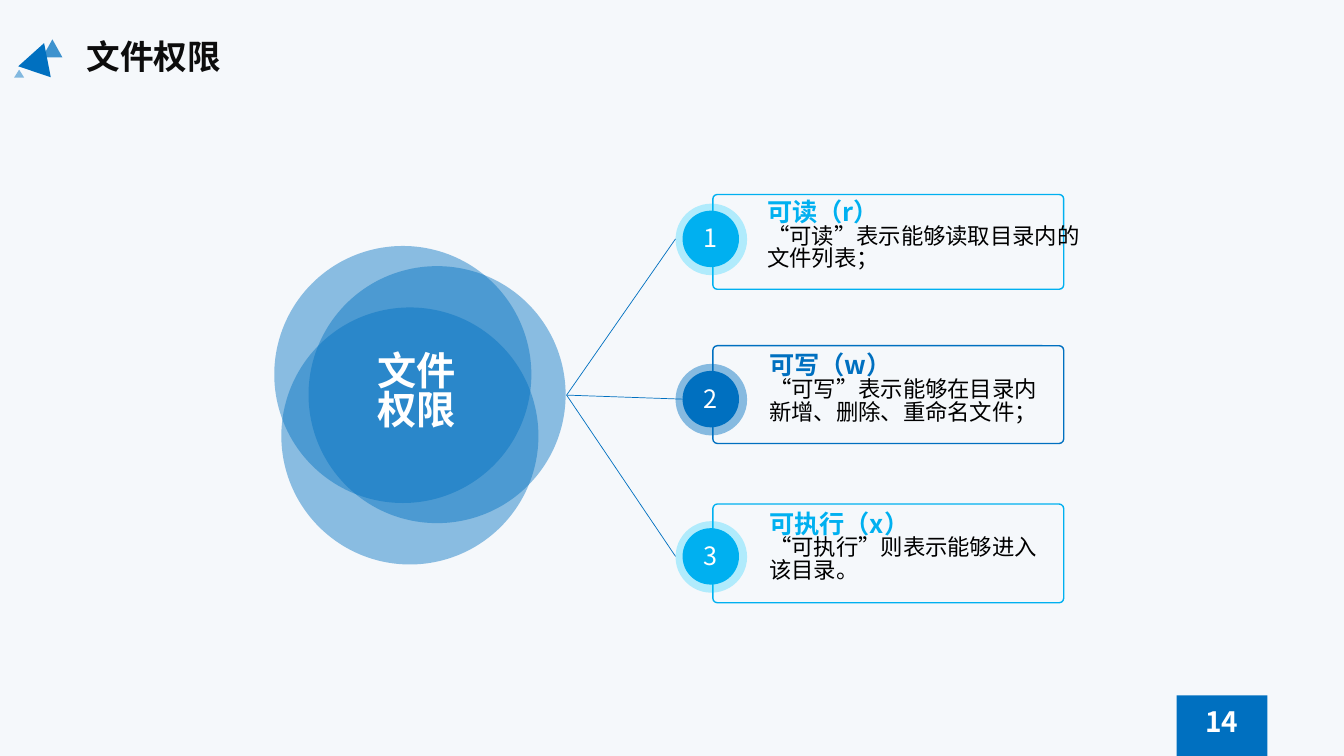
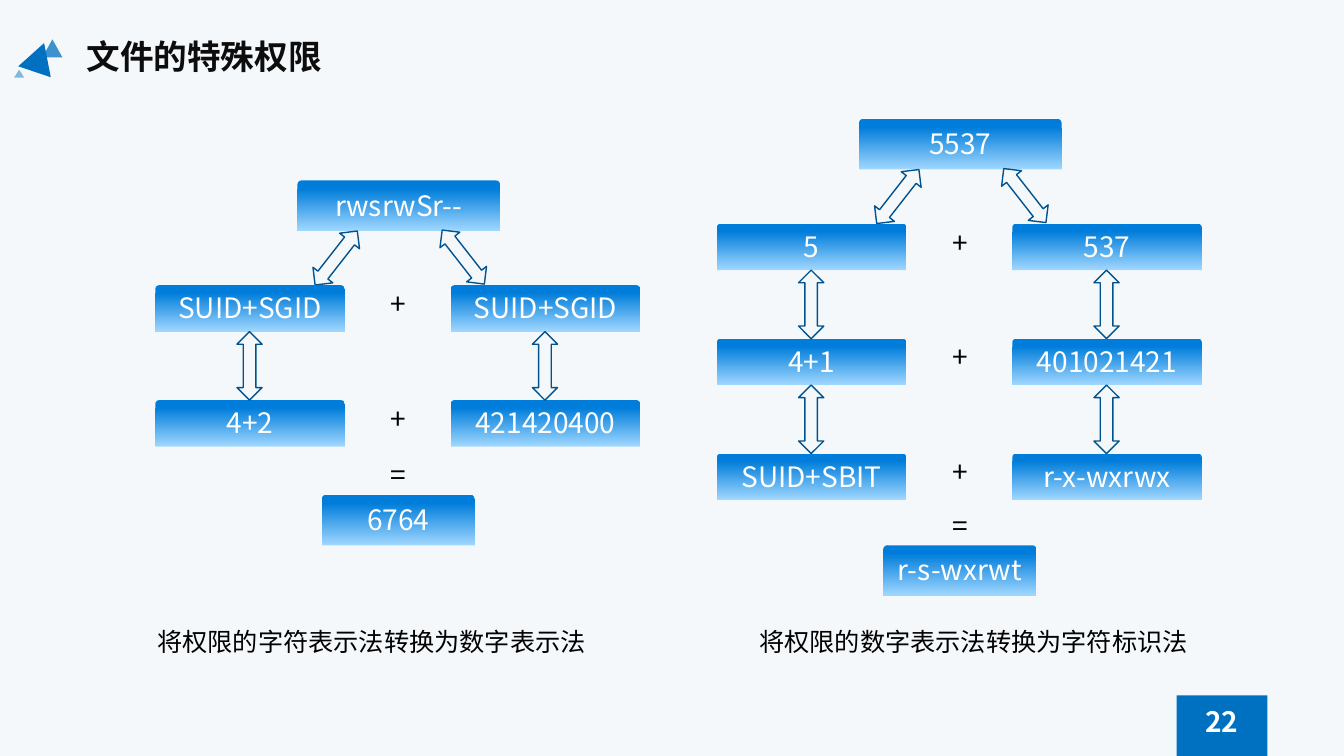
from dataclasses import dataclass

from lxml.etree import SubElement
from pptx import Presentation
from pptx.dml.color import RGBColor
from pptx.enum.shapes import MSO_CONNECTOR, MSO_SHAPE
from pptx.enum.text import MSO_ANCHOR, PP_ALIGN
from pptx.oxml.ns import qn
from pptx.util import Inches, Pt

FONT = "Noto Sans CJK SC"
LINE_SPACING = 0.83
BACKGROUND = RGBColor(0xF5, 0xF8, 0xFB)
BLUE = RGBColor(0x00, 0x70, 0xC0)
CYAN = RGBColor(0x00, 0xB0, 0xF0)
CYAN_HALO = RGBColor(0x09, 0xCE, 0xFF)
ARROW_BLUE = RGBColor(0x00, 0x53, 0x8E)
GRADIENT_TOP = RGBColor(0x00, 0x7D, 0xDA)
GRADIENT_BOTTOM = RGBColor(0xA0, 0xD7, 0xFF)
INK = RGBColor(0x0D, 0x0D, 0x0D)
BLACK = RGBColor(0x00, 0x00, 0x00)
WHITE = RGBColor(0xFF, 0xFF, 0xFF)


@dataclass(frozen=True)
class Permission:
    title: str
    description: str
    color: RGBColor
    halo_color: RGBColor
    halo_opacity: int
    card_top: float
    card_height: float
    badge_top: float
    text_left: float
    text_top: float
    text_width: float
    line_end: float


@dataclass(frozen=True)
class Conversion:
    left: float
    top: float
    source: str
    rows: tuple[tuple[str, str], ...]
    equals_top: float
    result: str
    caption: str
    caption_left: float


PERMISSIONS = (
    Permission("可读（r）", "“可读”表示能够读取目录内的文件列表；", CYAN, CYAN_HALO, 29,
               1.93, 0.94, 2.02, 7.51, 1.93, 3.31, 6.7),
    Permission("可写（w）", "“可写”表示能够在目录内新增、删除、重命名文件；", BLUE, BLUE, 45,
               3.43, 0.97, 3.61, 7.53, 3.45, 3.03, 6.77),
    Permission("可执行（x）", "“可执行”则表示能够进入该目录。", CYAN, CYAN_HALO, 29,
               5.0, 0.98, 5.17, 7.53, 5.02, 3.03, 6.7),
)
CONVERSIONS = (
    Conversion(1.54, 1.79, "rwsrwSr--",
               (("SUID+SGID", "SUID+SGID"), ("4+2", "421420400")),
               4.53, "6764", "将权限的字符表示法转换为数字表示法", 1.41),
    Conversion(7.11, 1.18, "5537",
               (("5", "537"), ("4+1", "401021421"), ("SUID+SBIT", "r-x-wxrwx")),
               5.03, "r-s-wxrwt", "将权限的数字表示法转换为字符标识法", 7.38),
)


def write_text(text_frame, text: str, *, size: float, color: RGBColor = BLACK,
               bold: bool = False, align=PP_ALIGN.LEFT, append: bool = False) -> None:
    """Write each line of text as a paragraph, optionally after existing ones."""
    for index, line in enumerate(text.split("\n")):
        if append or index:
            paragraph = text_frame.add_paragraph()
        else:
            paragraph = text_frame.paragraphs[0]
        paragraph.alignment = align
        paragraph.line_spacing = LINE_SPACING
        run = paragraph.add_run()
        run.text = line
        run.font.size = Pt(size)
        run.font.bold = bold
        run.font.color.rgb = color
        run.font.name = FONT
        SubElement(run._r.get_or_add_rPr(), qn("a:ea"), typeface=FONT)


def add_text(slide, left: float, top: float, width: float, height: float,
             text: str, **text_format):
    box = slide.shapes.add_textbox(Inches(left), Inches(top), Inches(width), Inches(height))
    box.text_frame.word_wrap = True
    box.text_frame.margin_top = Inches(0.07)
    write_text(box.text_frame, text, **text_format)
    return box


def add_figure(slide, kind, left: float, top: float, width: float, height: float, *,
               fill: RGBColor | None = None, opacity: int = 100,
               line: RGBColor | None = None, rotation: float = 0):
    shape = slide.shapes.add_shape(kind, Inches(left), Inches(top),
                                   Inches(width), Inches(height))
    shape.shadow.inherit = False
    shape.rotation = rotation
    if fill is None:
        shape.fill.background()
    else:
        shape.fill.solid()
        shape.fill.fore_color.rgb = fill
        if opacity < 100:
            color = shape._element.spPr.find(f".//{qn('a:srgbClr')}")
            SubElement(color, qn("a:alpha"), val=str(opacity * 1000))
    if line is None:
        shape.line.fill.background()
    else:
        shape.line.color.rgb = line
        shape.line.width = Pt(1)
    return shape


def add_label(shape, text: str, size: float) -> None:
    """Centre white text inside a shape."""
    frame = shape.text_frame
    frame.margin_left = frame.margin_right = frame.margin_bottom = 0
    frame.margin_top = Inches(0.03)
    frame.vertical_anchor = MSO_ANCHOR.MIDDLE
    write_text(frame, text, size=size, color=WHITE, align=PP_ALIGN.CENTER)


def add_base_slide(presentation, title: str, number: int):
    """Add a slide with the shared background, title, emblem and page number."""
    slide = presentation.slides.add_slide(presentation.slide_layouts[6])
    slide.background.fill.solid()
    slide.background.fill.fore_color.rgb = BACKGROUND
    add_text(slide, 0.76, 0.35, 6.72, 0.5, title, size=24, color=INK, bold=True)
    for left, top, width, height, rotation, opacity in (
        (0.42, 0.39, 0.2, 0.18, 0, 75),
        (0.22, 0.42, 0.34, 0.3, 18.5, 100),
        (0.14, 0.69, 0.1, 0.08, 0, 47),
    ):
        add_figure(slide, MSO_SHAPE.ISOSCELES_TRIANGLE, left, top, width, height,
                   fill=BLUE, opacity=opacity, rotation=rotation)
    add_figure(slide, MSO_SHAPE.RECTANGLE, 11.67, 6.9, 0.9, 0.6, fill=BLUE)
    add_text(slide, 11.8, 6.98, 0.64, 0.44, str(number), size=20, color=WHITE,
             bold=True, align=PP_ALIGN.CENTER)
    return slide


def add_permission(slide, number: int, item: Permission) -> None:
    card = add_figure(slide, MSO_SHAPE.ROUNDED_RECTANGLE, 7.07, item.card_top,
                      3.48, item.card_height, line=item.color)
    card.adjustments[0] = 0.047
    box = add_text(slide, item.text_left, item.text_top, item.text_width, 0.94,
                   item.title, size=18, color=item.color, bold=True)
    write_text(box.text_frame, item.description, size=16, append=True)
    add_figure(slide, MSO_SHAPE.OVAL, 6.7, item.badge_top, 0.71, 0.71,
               fill=item.halo_color, opacity=item.halo_opacity)
    badge = add_figure(slide, MSO_SHAPE.OVAL, 6.77, item.badge_top + 0.07, 0.56, 0.56,
                       fill=item.color)
    add_label(badge, str(number), 18)
    connector = slide.shapes.add_connector(
        MSO_CONNECTOR.STRAIGHT, Inches(5.62), Inches(3.92),
        Inches(item.line_end), Inches(item.badge_top + 0.35))
    connector.line.color.rgb = BLUE
    connector.line.width = Pt(0.5)
    SubElement(connector._element.spPr, qn("a:effectLst"))


def add_gradient_box(slide, left: float, top: float, width: float, height: float,
                     text: str) -> None:
    box = add_figure(slide, MSO_SHAPE.ROUND_2_SAME_RECTANGLE, left, top, width, height)
    box.adjustments[0] = 0.08
    box.fill.gradient()
    box.fill.gradient_angle = 270
    for stop, position, color in zip(box.fill.gradient_stops, (0.16, 1),
                                     (GRADIENT_TOP, GRADIENT_BOTTOM)):
        stop.position = position
        stop.color.rgb = color
    add_label(box, text, 20)


def add_double_arrow(slide, left: float, top: float, rotation: float = 0) -> None:
    add_figure(slide, MSO_SHAPE.UP_DOWN_ARROW, left, top, 0.25, 0.68,
               line=ARROW_BLUE, rotation=rotation)


def add_operator(slide, left: float, top: float, symbol: str) -> None:
    add_text(slide, left, top, 0.44, 0.44, symbol, size=20, align=PP_ALIGN.CENTER)


def add_conversion(slide, item: Conversion) -> None:
    row_height, arrow_height, column_pitch = 0.46, 0.68, 2.93
    operator_left = item.left + 2.19
    add_gradient_box(slide, item.left + 1.41, item.top, 2.01, 0.5, item.source)
    add_double_arrow(slide, item.left + 1.67, item.top + 0.43, 38)
    add_double_arrow(slide, item.left + column_pitch, item.top + 0.42, 322)
    for row, labels in enumerate(item.rows):
        top = item.top + 1.04 + row * (row_height + arrow_height)
        for column, label in enumerate(labels):
            left = item.left + column * column_pitch
            add_gradient_box(slide, left, top, 1.88, row_height, label)
            if row:
                add_double_arrow(slide, left + 0.81, top - arrow_height)
        add_operator(slide, operator_left, top, "+")
    add_operator(slide, operator_left, item.equals_top, "=")
    add_gradient_box(slide, item.left + 1.65, item.equals_top + 0.38, 1.52, 0.5, item.result)
    add_text(slide, item.caption_left, 6.19, 4.55, 0.4, item.caption, size=18,
             align=PP_ALIGN.CENTER)


def build_permissions_slide(presentation) -> None:
    slide = add_base_slide(presentation, "文件权限", 14)
    for left, top in ((2.72, 2.44), (3.06, 2.64), (2.79, 3.05)):
        add_figure(slide, MSO_SHAPE.OVAL, left, top, 2.55, 2.55, fill=BLUE, opacity=44)
    add_text(slide, 3.14, 3.44, 1.99, 1.04, "文件\n权限", size=28, color=WHITE,
             bold=True, align=PP_ALIGN.CENTER)
    for number, item in enumerate(PERMISSIONS, start=1):
        add_permission(slide, number, item)


def build_conversions_slide(presentation) -> None:
    slide = add_base_slide(presentation, "文件的特殊权限", 22)
    for item in CONVERSIONS:
        add_conversion(slide, item)


def main() -> None:
    presentation = Presentation()
    presentation.slide_width = Inches(13.33)
    presentation.slide_height = Inches(7.5)
    build_permissions_slide(presentation)
    build_conversions_slide(presentation)
    presentation.save("out.pptx")


if __name__ == "__main__":
    main()
